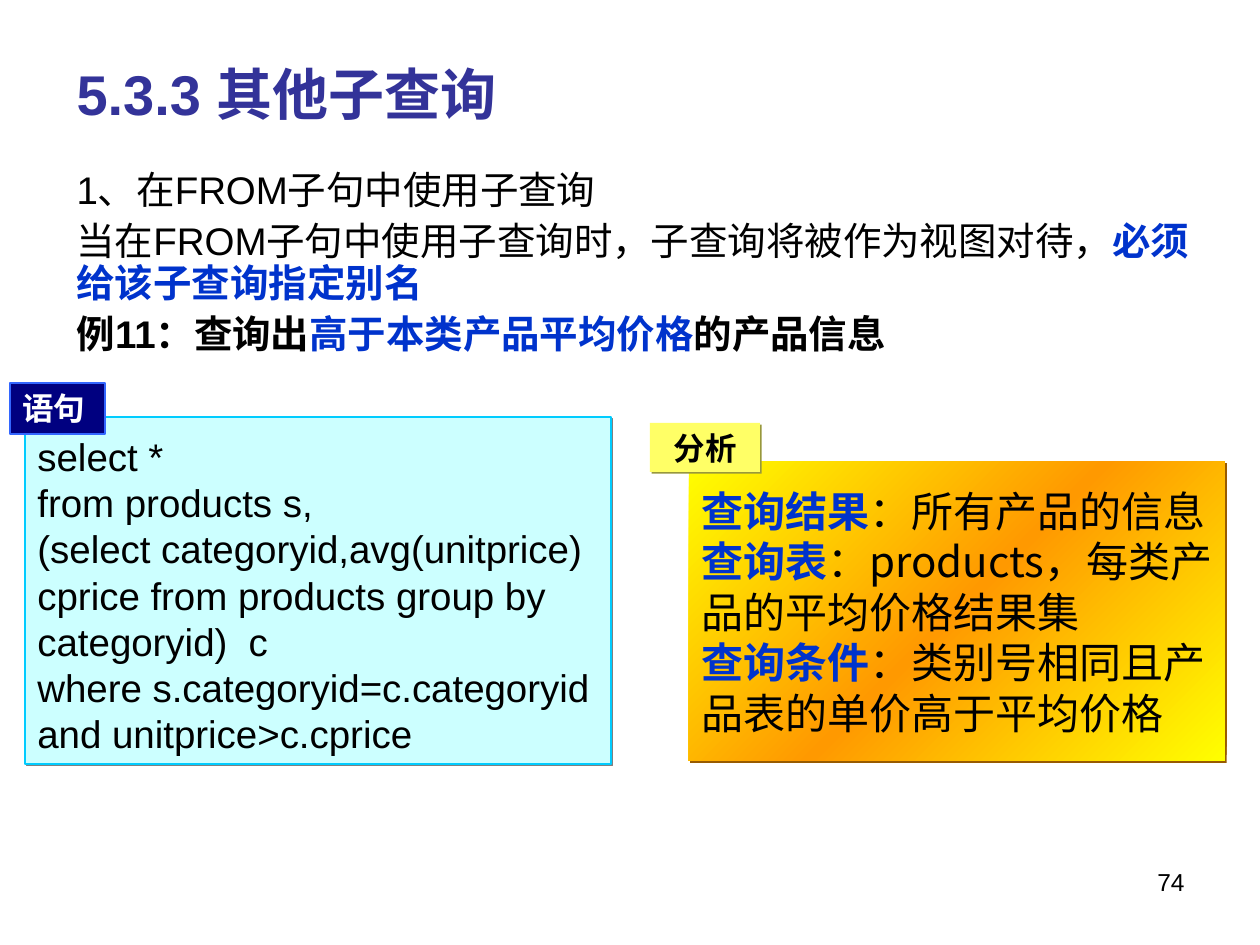
"""Build the slide on subqueries in the FROM clause."""
from lxml.etree import SubElement, fromstring
from pptx import Presentation
from pptx.dml.color import RGBColor
from pptx.enum.shapes import MSO_SHAPE
from pptx.enum.text import MSO_ANCHOR, MSO_AUTO_SIZE, PP_ALIGN
from pptx.oxml.ns import nsdecls, qn
from pptx.util import Emu, Pt

PX = 914400 / 126
rgb = RGBColor.from_string
BLACK, BLUE = "000000", "0033CC"


def shadow(color):
    return fromstring(
        f'<a:effectLst {nsdecls("a")}><a:outerShdw dist="17780" dir="2700000" algn="ctr" rotWithShape="0">'
        f'<a:srgbClr val="{color}"/></a:outerShdw></a:effectLst>')


def write(sp, box, paras, size, font="Arial", frame={}, para={}):
    for k, v in zip(("left", "top", "width", "height"), box):
        setattr(sp, k, Emu(round(v * PX)))
    tf = sp.text_frame
    for k, v in {"word_wrap": True, "auto_size": MSO_AUTO_SIZE.NONE,
                 "vertical_anchor": MSO_ANCHOR.TOP, **frame}.items():
        setattr(tf, k, v)
    for i, runs in enumerate(paras):
        p = tf.add_paragraph() if i else tf.paragraphs[0]
        pPr = p._p.get_or_add_pPr()
        pPr.set("marL", "0")
        pPr.set("indent", "0")
        SubElement(pPr, qn("a:buNone"))
        for k, v in {"alignment": PP_ALIGN.LEFT, "space_before": Pt(0), **para}.items():
            setattr(p, k, Pt(0) if k == "space_before" and i == 0 else v)
        for text, color, bold in runs:
            r = p.add_run()
            r.text = text
            for k, v in {"size": Pt(size), "name": font, "bold": bold}.items():
                setattr(r.font, k, v)
            r.font.color.rgb = rgb(color)
            SubElement(r._r.rPr, qn("a:ea")).set("typeface", "Noto Sans CJK SC")


prs = Presentation()
prs.slide_width, prs.slide_height = Emu(round(1260 * PX)), Emu(round(945 * PX))
s = prs.slides.add_slide(prs.slide_layouts[1])
title, body = s.placeholders
middle = {"vertical_anchor": MSO_ANCHOR.MIDDLE}

write(title, (64, 55, 992, 77), [[("5.3.3 其他子查询", "333399", True)]], 32, frame=middle)
title.text_frame.paragraphs[0].runs[0]._r.rPr.find(qn("a:solidFill")).addnext(shadow("808080"))

write(body, (64, 165, 1142, 228), [
    [("1、在FROM子句中使用子查询", BLACK, False)],
    [("当在FROM子句中使用子查询时，子查询将被作为视图对待，", BLACK, False),
     ("必须给该子查询指定别名", BLUE, True)],
    [("例11：查询出", BLACK, True), ("高于本类产品平均价格", BLUE, True),
     ("的产品信息", BLACK, True)],
], 22, para={"line_spacing": 0.9, "space_before": Pt(5.5)})

code = ["select *", "from products s,",
        "(select categoryid,avg(unitprice) cprice from products group by categoryid)  c",
        "where s.categoryid=c.categoryid and unitprice>c.cprice"]
analysis = [("查询结果", "：所有产品的信息"),
            ("查询表", "：products，每类产品的平均价格结果集"),
            ("查询条件", "：类别号相同且产品表的单价高于平均价格")]
panels = [
    ("CCFFFF", "00CCFF", "808080", dict(
        box=(25, 417, 586, 347), paras=[[(t, BLACK, False)] for t in code], size=22,
        frame={"margin_top": Emu(round(16 * PX))})),
    ("000080", "3366FF", None, dict(
        box=(10, 383, 95, 51), paras=[[("语句", "FFFFFF", True)]], size=18)),
    (None, None, "985B00", dict(
        box=(689, 462, 536, 299), size=24, font="Noto Sans CJK SC", frame=middle,
        paras=[[(a, BLUE, True), (b, BLACK, False)] for a, b in analysis])),
    ("FFFF66", None, "98983C", dict(
        box=(650, 423, 110, 49), paras=[[("分析", BLACK, True)]], size=18,
        frame={"word_wrap": False, **middle}, para={"alignment": PP_ALIGN.CENTER})),
]
for fill, line, shade, text in panels:
    sp = s.shapes.add_shape(MSO_SHAPE.RECTANGLE, 0, 0, 0, 0)
    write(sp, **text)
    sp.shadow.inherit = False
    if fill:
        sp.fill.solid()
        sp.fill.fore_color.rgb = rgb(fill)
    else:
        sp.fill.gradient()
        grad = sp._element.spPr.find(qn("a:gradFill"))
        stops = "".join(f'<a:gs pos="{pos}"><a:srgbClr val="{c}"/></a:gs>' for pos, c in
                        ((0, "FFFF00"), (50000, "FF9900"), (100000, "FFFF00")))
        grad.getparent().replace(grad, fromstring(
            f'<a:gradFill {nsdecls("a")} rotWithShape="1"><a:gsLst>{stops}</a:gsLst>'
            '<a:lin ang="2700000" scaled="0"/></a:gradFill>'))
    if line:
        sp.line.color.rgb = rgb(line)
        sp.line.width = Pt(0.75)
    else:
        sp.line.fill.background()
    if shade:
        effects = sp._element.spPr.find(qn("a:effectLst"))
        effects.getparent().replace(effects, shadow(shade))

number = s.shapes.add_textbox(0, 0, 0, 0)
write(number, (903, 861, 294, 66), [[("74", BLACK, False)]], 14,
      para={"alignment": PP_ALIGN.RIGHT})

prs.save("out.pptx")
